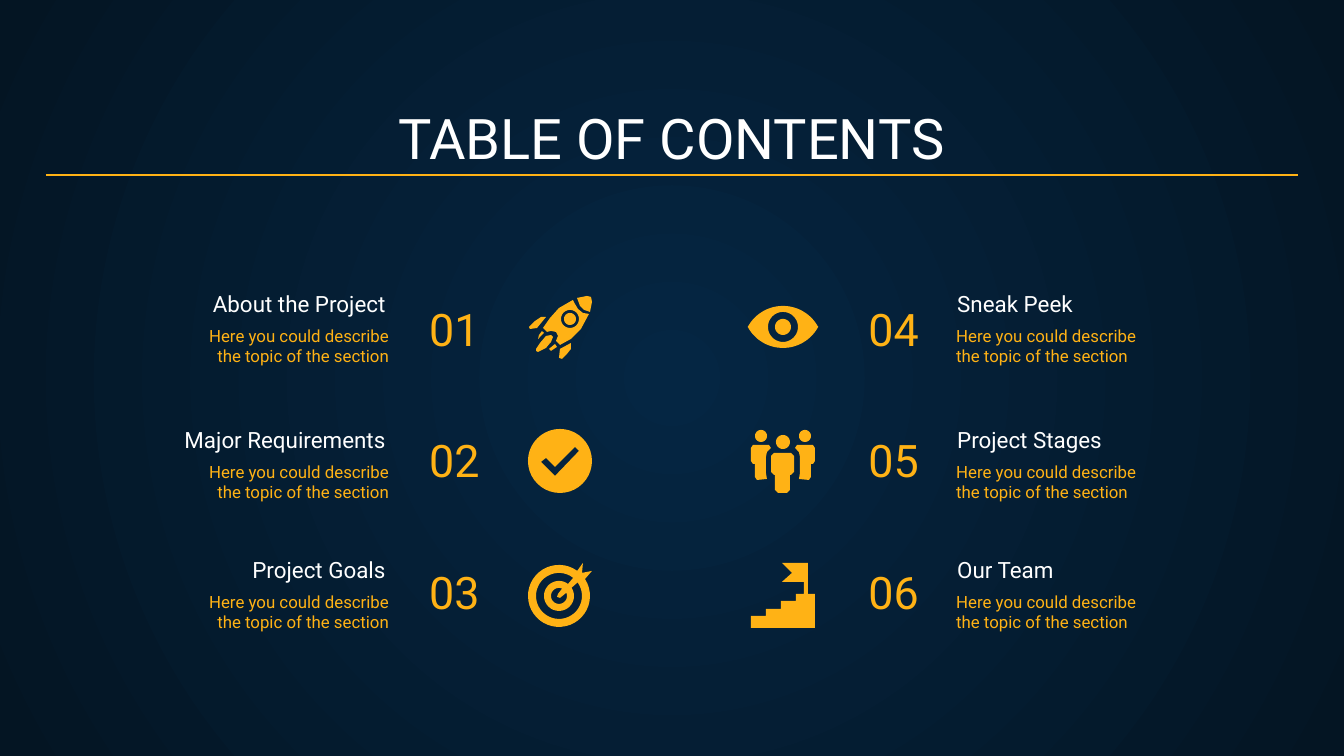
from math import cos, radians, sin

from pptx import Presentation
from pptx.dml.color import RGBColor
from pptx.enum.shapes import MSO_CONNECTOR
from pptx.enum.text import MSO_ANCHOR as ANCHOR, PP_ALIGN as ALIGN
from pptx.oxml.ns import qn
from pptx.util import Pt
from lxml.etree import SubElement

PX = 914400 / 134.4
GOLD = RGBColor(0xFF, 0xB2, 0x15)
WHITE = RGBColor(0xFF, 0xFF, 0xFF)
NAVY = RGBColor(0x05, 0x26, 0x43)
INK = RGBColor(0x04, 0x15, 0x23)


def arc(cx, cy, r, start=0, end=360):
    steps = [start + (end - start) * i / 40 for i in range(41)]
    return [(cx + r * cos(radians(a)), cy + r * sin(radians(a))) for a in steps]


def write(sp, box, lines, size, color, align, anchor):
    sp.left, sp.top, sp.width, sp.height = [round(v * PX) for v in box]
    tf = sp.text_frame
    tf.word_wrap = True
    tf.vertical_anchor = anchor
    tf.margin_left = tf.margin_right = tf.margin_top = tf.margin_bottom = Pt(7.2)
    for i, line in enumerate(lines):
        p = tf.add_paragraph() if i else tf.paragraphs[0]
        p.text = line
        p.alignment = align
        p.font.name = "Roboto"
        p.font.size = Pt(size)
        p.font.color.rgb = color


prs = Presentation()
prs.slide_width, prs.slide_height = round(1344 * PX), round(756 * PX)
s = prs.slides.add_slide(prs.slide_layouts[5])

bg = s.background.fill
bg.gradient()
for stop, color in zip(bg.gradient_stops, (NAVY, INK)):
    stop.color.rgb = color
grad = s.element.find(".//" + qn("a:gradFill"))
grad.remove(grad.find(qn("a:lin")))
path = SubElement(grad, qn("a:path"), path="circle")
SubElement(path, qn("a:fillToRect"), l="50000", t="50000", r="50000", b="50000")

write(s.shapes.title, (45, 95, 1253, 89), ["TABLE OF CONTENTS"], 30, WHITE,
      ALIGN.CENTER, ANCHOR.BOTTOM)

DESCRIPTION = ["Here you could describe", "the topic of the section"]
columns = [
    (["About the Project", "Major Requirements", "Project Goals"],
     94, 106, 296, 416, ALIGN.RIGHT, ALIGN.LEFT),
    (["Sneak Peek", "Project Stages", "Our Team"],
     944, 943, 278, 759, ALIGN.LEFT, ALIGN.RIGHT),
]
rows = [(302, 312, 280), (438, 448, 411), (568, 578, 543)]
number = 0
for names, name_x, desc_x, desc_w, num_x, align, num_align in columns:
    for name, (name_y, desc_y, num_y) in zip(names, rows):
        number += 1
        for box, lines, size, color, side, anchor in [
            ((desc_x, desc_y, desc_w, 74), DESCRIPTION, 9, GOLD, align, ANCHOR.TOP),
            ((num_x, num_y, 173, 89), [f"{number:02}"], 24, GOLD, num_align, ANCHOR.BOTTOM),
            ((name_x, name_y, 305, 28), [name], 12, WHITE, align, ANCHOR.BOTTOM),
        ]:
            write(s.shapes.add_textbox(0, 0, 0, 0), box, lines, size, color, side, anchor)

rocket = [
    [[(573, 300), (559, 308), (550, 318), (543, 328), (547, 332), (551, 331), (556, 332),
      (558, 336), (556, 341), (560, 345), (571, 339), (581, 329), (589, 314), (583, 313),
      (578, 309), (575, 304)],
     arc(570, 319, 9)],
    [arc(570, 319, 6)],
    [[(577, 298), (587, 296), (591, 297), (592, 302), (590, 312), (584, 310), (580, 306)]],
    [[(546, 317), (541, 317), (535, 321), (529, 327), (530, 329), (537, 328)]],
    [[(571, 343), (560, 349), (559, 358), (562, 359), (567, 354), (571, 349)]],
    [[(551, 335), (546, 336), (540, 343), (536, 349), (536, 351), (538, 352), (546, 348),
      (551, 342), (553, 337)]],
    [[(542, 331), (539, 335), (538, 339), (541, 336), (544, 333)]],
    [[(555, 344), (557, 347), (551, 351), (549, 349)]],
]
check = [[
    arc(560, 461, 32),
    [(575, 447), (579, 451), (555, 476), (541, 462), (546, 458), (555, 467)],
]]
target = [[
    arc(559, 596, 31, -54, -393) + [(592, 571), (582, 573), (583, 563)],
    arc(559, 596, 23, -36, 308) + arc(559, 596, 15, 307, -33),
    arc(559, 596, 8, -23, 293) + [(558, 594), (557, 597), (560, 598)],
]]
eye = [[
    arc(783, 346, 40, -152, -28) + arc(783, 308, 40, 28, 152),
    arc(783, 327, 15),
    arc(783, 327, 8),
]]
person = [(753, 445), (769, 445), (771, 448), (767, 452), (766, 457), (766, 473), (767, 479),
          (757, 480), (755, 477), (755, 464), (753, 464), (751, 461), (751, 448)]
team = [
    [arc(761, 436, 6)],
    [person],
    [arc(805, 436, 6)],
    [[(1566 - x, y) for x, y in person]],
    [[(774, 453), (791, 453), (794, 456), (794, 472), (791, 475), (790, 475), (790, 490),
      (787, 493), (778, 493), (775, 490), (775, 475), (774, 475), (771, 472), (771, 456)]],
    [arc(783, 442, 7)],
]
stairs = [[
    [(782, 563), (792, 573), (782, 582), (804, 582), (804, 594), (796, 594), (796, 601),
     (781, 601), (781, 609), (766, 609), (766, 616), (751, 616), (751, 628), (815, 628),
     (815, 594), (808, 594), (808, 563)],
]]
for icon in (target, rocket, check, team, stairs, eye):
    shapes = s.shapes.add_group_shape().shapes if len(icon) > 1 else s.shapes
    for piece in icon:
        contours = [[(round(x * PX), round(y * PX)) for x, y in c] for c in piece]
        builder = shapes.build_freeform(*contours[0][0])
        builder.add_line_segments(contours[0][1:])
        for contour in contours[1:]:
            builder.move_to(*contour[0])
            builder.add_line_segments(contour[1:])
        sp = builder.convert_to_shape()
        sp.shadow.inherit = False
        sp.fill.solid()
        sp.fill.fore_color.rgb = GOLD
        sp.line.fill.background()

rule = s.shapes.add_connector(MSO_CONNECTOR.STRAIGHT, *[round(v * PX) for v in (46, 175, 1298, 175)])
rule.line.color.rgb = GOLD
rule.line.width = Pt(0.75)
SubElement(rule._element.spPr, qn("a:effectLst"))

prs.save("out.pptx")
